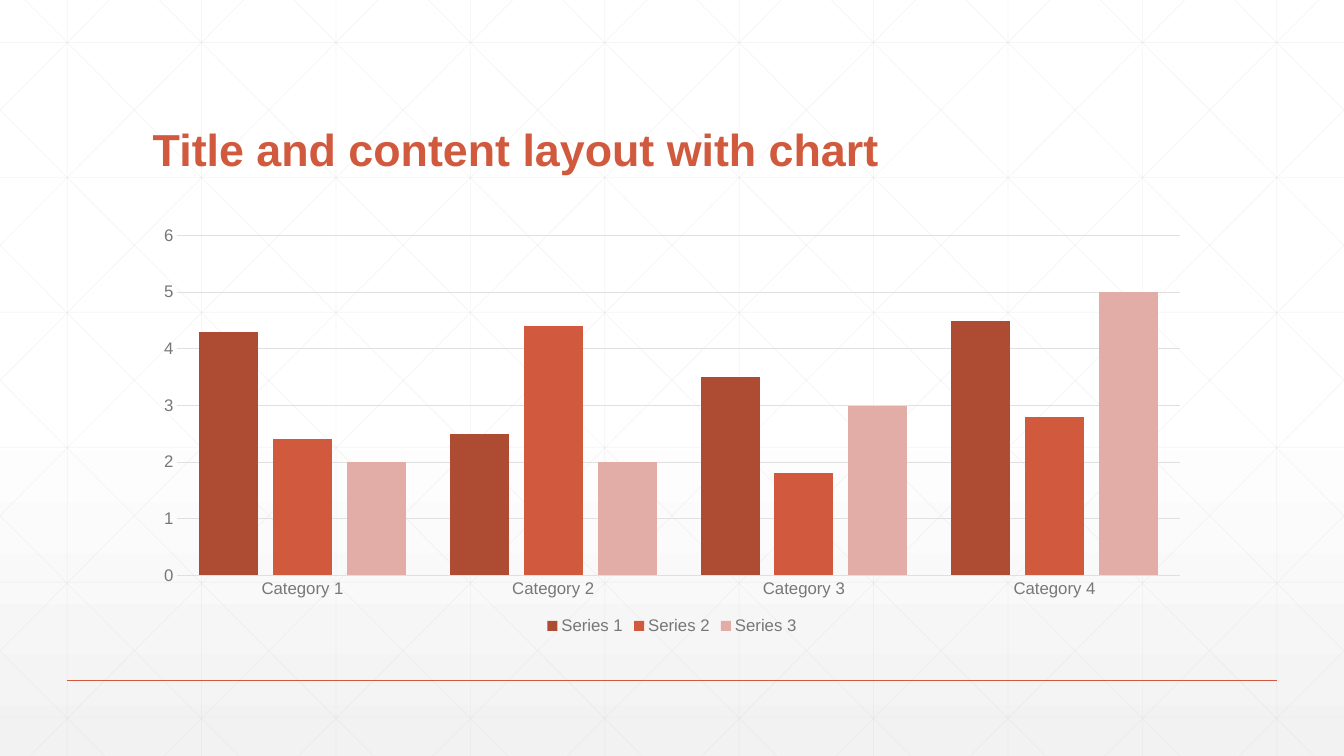
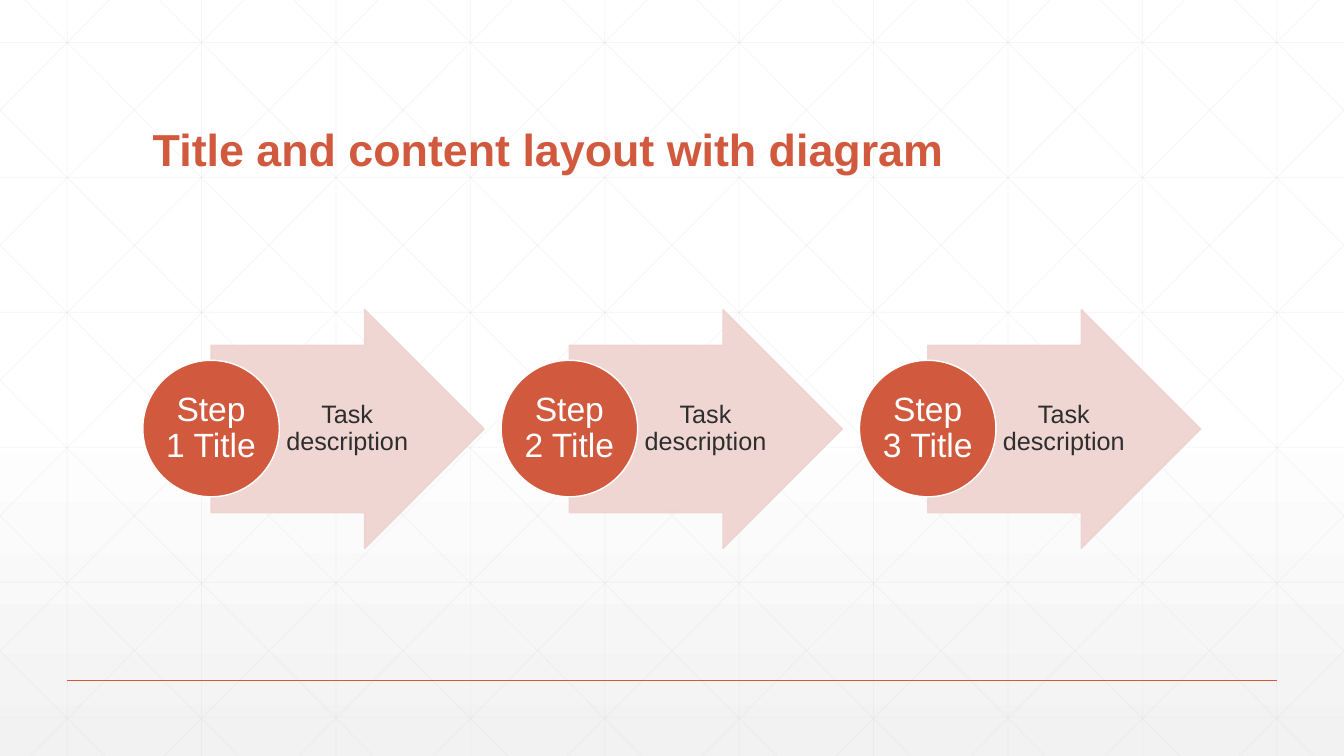
from copy import deepcopy
from pptx import Presentation
from pptx import util as u
from pptx.chart.data import CategoryChartData
from pptx.dml.color import RGBColor
from pptx.enum import chart as ch, shapes, text
from pptx.oxml import ns, xmlchemy

COLORS = {
    "white": "FFFFFF", "mist": "F2F2F2", "mesh": "D9D9D9", "accent": "D15A3E",
    "rust": "AD4B33", "rose": "E2ADA6", "blush": "EED2CE", "ink": "2D2E2D",
    "label": "767876", "rule": "DFE0DF",
}
RGB = {name: RGBColor.from_string(value) for name, value in COLORS.items()}
FONT = "Arial"
WIDTH, HEIGHT = 33.87, 19.05


def write(frame, words, size, color, anchor, align, insets):
    frame.word_wrap = True
    frame.vertical_anchor = anchor
    frame.margin_left, frame.margin_top, frame.margin_right, frame.margin_bottom = map(u.Cm, insets)
    paragraph = frame.paragraphs[0]
    paragraph.text = words
    paragraph.alignment = align
    paragraph.line_spacing = 0.9
    paragraph.font.name = FONT
    paragraph.font.size = u.Pt(size)
    paragraph.font.color.rgb = RGB[color]
    return paragraph


def fade(shape, opacity):
    for color in shape.element.iter(ns.qn("a:srgbClr")):
        alpha = xmlchemy.OxmlElement("a:alpha")
        alpha.set("val", str(opacity * 1000))
        color.append(alpha)


deck = Presentation()
deck.slide_width, deck.slide_height = u.Cm(WIDTH), u.Cm(HEIGHT)

backdrop = deck.slide_master.background.fill
backdrop.gradient()
backdrop.gradient_angle = 270
stops = deck.slide_master.element.find(".//" + ns.qn("a:gsLst"))
stops.insert(0, deepcopy(stops[0]))
for stop, (position, color) in zip(
    backdrop.gradient_stops, [(0, "white"), (0.53, "white"), (1, "mist")]
):
    stop.position = position
    stop.color.rgb = RGB[color]

step = WIDTH / 10
mesh = [(step * (i + 0.5), 0, step * (i + 0.5), HEIGHT) for i in range(10)]
mesh += [(0, 1.07 + 3.4 * i, WIDTH, 1.07 + 3.4 * i) for i in range(6)]
run = 18.94
for i in range(-5, 10):
    start = 0.63 + step * i
    left, right = max(start, 0), min(start + run, WIDTH)
    top, bottom = [(x - start) * HEIGHT / run for x in (left, right)]
    mesh += [(left, top, right, bottom), (WIDTH - left, top, WIDTH - right, bottom)]

rules = [(ends, "mesh", 0.5, 25) for ends in mesh]
rules.append(((1.69, 17.15, 32.18, 17.15), "accent", 1, 100))

slides = []
for title in ("Title and content layout with chart", "Title and content layout with diagram"):
    slide = deck.slides.add_slide(deck.slide_layouts[6])
    slides.append(slide)
    for ends, color, weight, opacity in rules:
        rule = slide.shapes.add_connector(shapes.MSO_CONNECTOR.STRAIGHT, *map(u.Cm, ends))
        rule.line.color.rgb = RGB[color]
        rule.line.width = u.Pt(weight)
        rule.element.spPr.append(xmlchemy.OxmlElement("a:effectLst"))
        if opacity < 100:
            fade(rule, opacity)
    heading = slide.shapes.add_textbox(u.Cm(3.6), u.Cm(1.4), u.Cm(26.67), u.Cm(3.18))
    write(heading.text_frame, title, 32, "accent", text.MSO_ANCHOR.BOTTOM,
          text.PP_ALIGN.LEFT, (0.25, 0.13, 0.25, 0.13)).font.bold = True

chart_slide, steps_slide = slides

figures = CategoryChartData()
figures.categories = [f"Category {n}" for n in range(1, 5)]
figures.add_series("Series 1", (4.3, 2.5, 3.5, 4.5))
figures.add_series("Series 2", (2.4, 4.4, 1.8, 2.8))
figures.add_series("Series 3", (2, 2, 3, 5))
chart = chart_slide.shapes.add_chart(
    ch.XL_CHART_TYPE.COLUMN_CLUSTERED, u.Cm(3.6), u.Cm(5.5), u.Cm(26.67), u.Cm(10.6), figures
).chart
chart.has_title = False
chart.font.name = FONT
chart.font.size = u.Pt(10)
chart.font.color.rgb = RGB["ink"]
chart.has_legend = True
chart.legend.position = ch.XL_LEGEND_POSITION.BOTTOM
chart.legend.include_in_layout = False

columns = chart.plots[0]
columns.gap_width, columns.overlap = 75, -25
columns.vary_by_categories = False
for series, color in zip(columns.series, ("rust", "accent", "rose")):
    series.format.fill.solid()
    series.format.fill.fore_color.rgb = RGB[color]
    series.invert_if_negative = False

categories, values = chart.category_axis, chart.value_axis
for axis in (categories, values):
    axis.major_tick_mark = axis.minor_tick_mark = ch.XL_TICK_MARK.NONE
for font in (categories.tick_labels.font, values.tick_labels.font, chart.legend.font):
    font.name = FONT
    font.size = u.Pt(12)
    font.color.rgb = RGB["label"]
for line in (categories.format.line, values.major_gridlines.format.line):
    line.color.rgb = RGB["rule"]
    line.width = u.Pt(0.75)
values.format.line.fill.background()
values.minimum_scale, values.maximum_scale, values.major_unit = 0, 6, 1

for n in range(3):
    left = 3.6 + 9.03 * n
    arrow = steps_slide.shapes.add_shape(
        shapes.MSO_SHAPE.RIGHT_ARROW, u.Cm(left + 1.72), u.Cm(7.8), u.Cm(6.88), u.Cm(6.02))
    arrow.adjustments[0], arrow.adjustments[1] = 0.7, 0.5
    task = steps_slide.shapes.add_textbox(u.Cm(left + 3.45), u.Cm(8.7), u.Cm(3.35), u.Cm(4.22))
    write(task.text_frame, "Task description", 18, "ink", text.MSO_ANCHOR.MIDDLE,
          text.PP_ALIGN.CENTER, (0.13, 0.03, 0.08, 0.03))
    badge = steps_slide.shapes.add_shape(
        shapes.MSO_SHAPE.OVAL, u.Cm(left), u.Cm(9.08), u.Cm(3.44), u.Cm(3.44))
    for shape, fill, outline in ((arrow, "blush", "blush"), (badge, "accent", "white")):
        shape.shadow.inherit = False
        shape.fill.solid()
        shape.fill.fore_color.rgb = RGB[fill]
        shape.line.color.rgb = RGB[outline]
        shape.line.width = u.Pt(1)
    fade(arrow, 90)
    write(badge.text_frame, f"Step {n + 1} Title", 24, "white", text.MSO_ANCHOR.MIDDLE,
          text.PP_ALIGN.CENTER, (0.05, 0.05, 0.05, 0.05))

deck.save("out.pptx")
